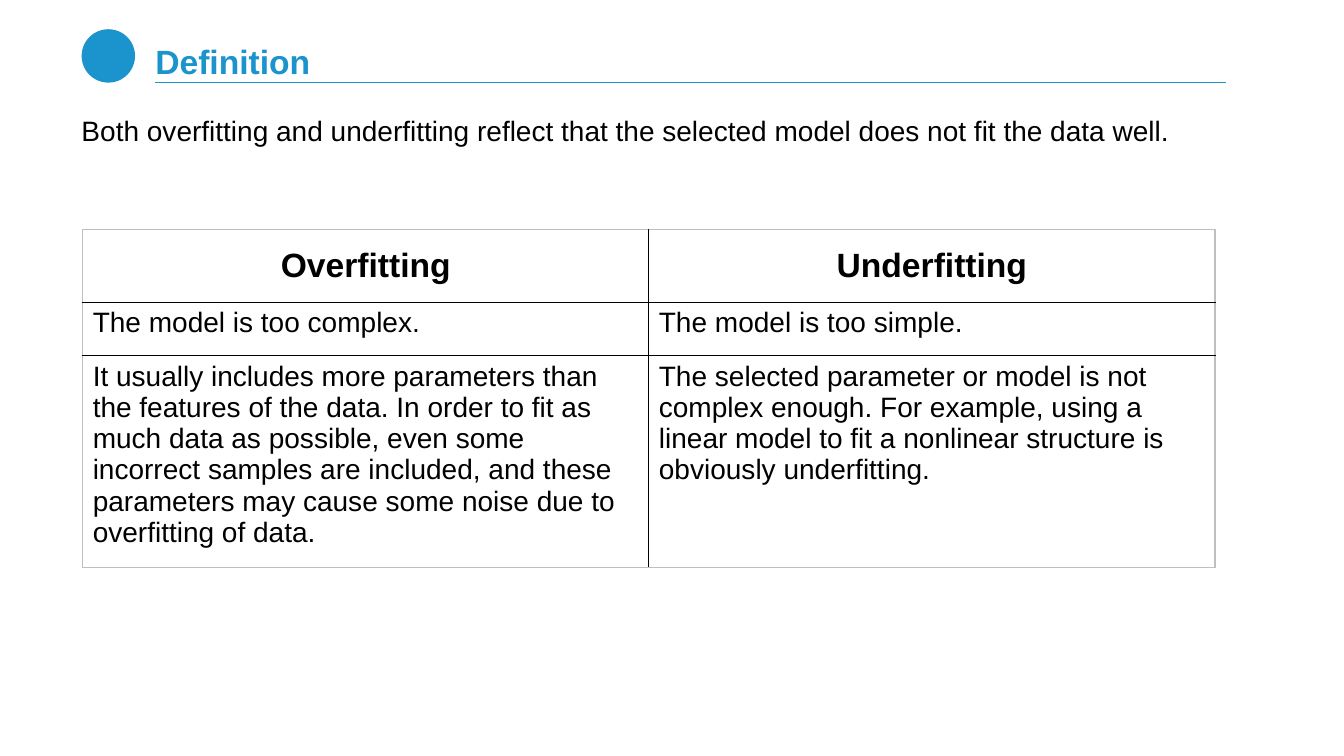
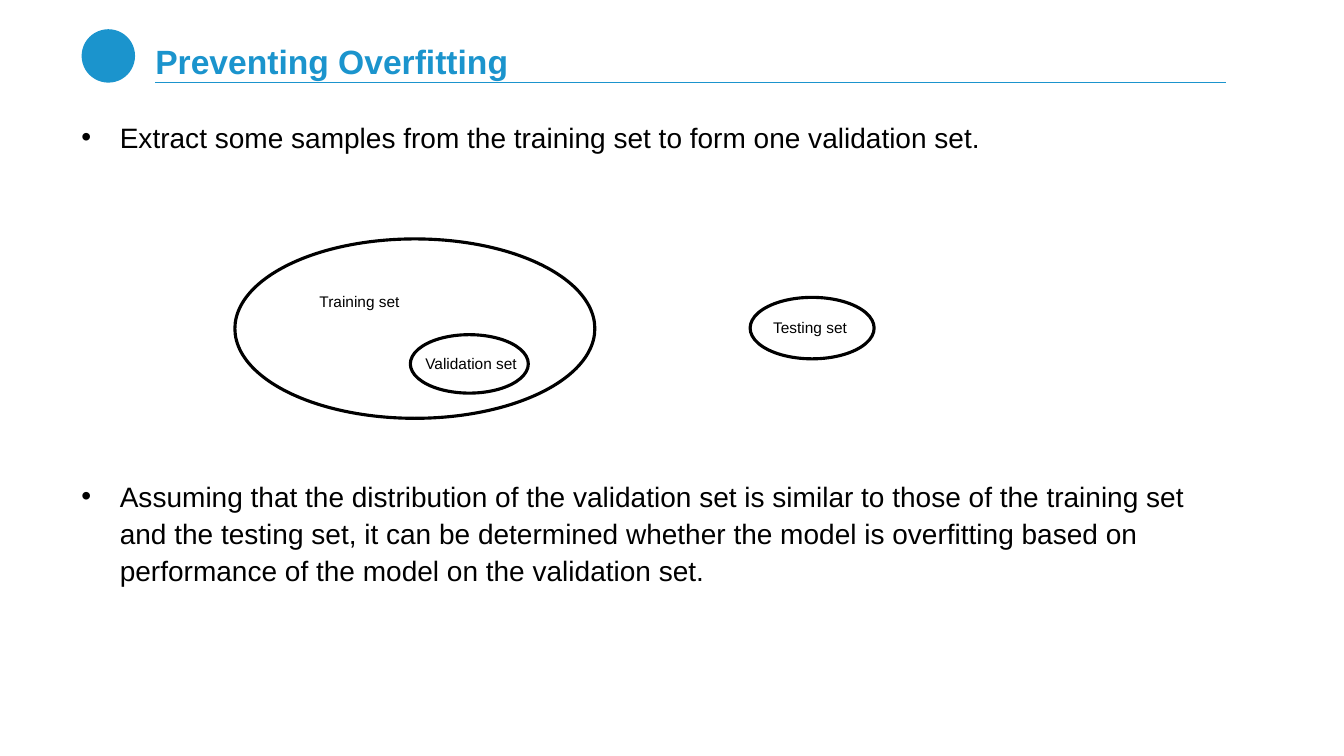
from dataclasses import dataclass

import pptx
import pptx.dml.color
import pptx.enum.shapes
import pptx.enum.text
import pptx.oxml.ns
import pptx.util
from lxml import etree

Inches = pptx.util.Inches
Pt = pptx.util.Pt
RGB = pptx.dml.color.RGBColor
Align = pptx.enum.text.PP_ALIGN
Anchor = pptx.enum.text.MSO_ANCHOR
qn = pptx.oxml.ns.qn


@dataclass(frozen=True)
class Theme:
    font: str = "Arial"
    accent: RGB = RGB(0x1B, 0x94, 0xCD)
    ink: RGB = RGB(0, 0, 0)
    paper: RGB = RGB(0xFF, 0xFF, 0xFF)
    table_edge: RGB = RGB(0xBF, 0xBF, 0xBF)
    heading: int = 24
    body: int = 20
    label: int = 11


@dataclass(frozen=True)
class Box:
    left: float
    top: float
    width: float
    height: float

    def lengths(self) -> tuple:
        return tuple(map(Inches, (self.left, self.top, self.width, self.height)))


@dataclass(frozen=True)
class DataSet:
    name: str
    outline: Box
    label: Box


THEME = Theme()
TITLE = Box(1.54, 0.49, 10.62, 0.32)
MARKER = Box(0.81, 0.29, 0.53, 0.53)
BODY = Box(0.71, 1.11, 11.45, 5.79)
RULE_Y = 0.82

COMPARISON = Box(0.82, 2.28, 11.23, 3.2)
ROW_HEIGHTS = (0.72, 0.53, 1.95)
COMPARISON_ROWS = (
    ("Overfitting", "Underfitting"),
    ("The model is too complex.", "The model is too simple."),
    (
        "It usually includes more parameters than the features of the data. "
        "In order to fit as much data as possible, even some incorrect samples are included, "
        "and these parameters may cause some noise due to overfitting of data.",
        "The selected parameter or model is not complex enough. For example, "
        "using a linear model to fit a nonlinear structure is obviously underfitting.",
    ),
)

DATA_SETS = (
    DataSet("Training set", Box(2.33, 2.37, 3.57, 1.78), Box(3.07, 2.85, 1.01, 0.29)),
    DataSet("Testing set", Box(7.44, 2.95, 1.23, 0.61), Box(7.57, 3.11, 0.96, 0.29)),
    DataSet("Validation set", Box(4.07, 3.32, 1.17, 0.58), Box(4.12, 3.46, 1.13, 0.29)),
)
PREVENTION_POINTS = (
    "Extract some samples from the training set to form one validation set.",
    "Assuming that the distribution of the validation set is similar to those of the "
    "training set and the testing set, it can be determined whether the model is "
    "overfitting based on performance of the model on the validation set.",
)
DIAGRAM_GAP = 230


def format_runs(paragraph, size: int, color: RGB = THEME.ink, bold: bool = False) -> None:
    for run in paragraph.runs:
        run.font.name = THEME.font
        run.font.size = Pt(size)
        run.font.bold = bold
        run.font.color.rgb = color


def add_ellipse(slide, box: Box, fill: RGB, line: RGB | None = None) -> None:
    ellipse = slide.shapes.add_shape(pptx.enum.shapes.MSO_SHAPE.OVAL, *box.lengths())
    ellipse.shadow.inherit = False
    ellipse.fill.solid()
    ellipse.fill.fore_color.rgb = fill
    if line is None:
        ellipse.line.fill.background()
    else:
        ellipse.line.color.rgb = line
        ellipse.line.width = Pt(2.25)


def add_text(slide, box: Box, text: str, size: int, wrap: bool = True):
    frame = slide.shapes.add_textbox(*box.lengths()).text_frame
    frame.word_wrap = wrap
    frame.text = text
    for paragraph in frame.paragraphs:
        format_runs(paragraph, size)
    return frame


def add_titled_slide(deck, heading: str):
    slide = deck.slides.add_slide(deck.slide_layouts.get_by_name("Title Only"))
    rule = slide.shapes.add_connector(
        pptx.enum.shapes.MSO_CONNECTOR.STRAIGHT,
        Inches(TITLE.left), Inches(RULE_Y), Inches(TITLE.left + TITLE.width), Inches(RULE_Y),
    )
    rule.line.color.rgb = THEME.accent
    rule.line.width = Pt(1)
    etree.SubElement(rule._element.spPr, qn("a:effectLst"))
    add_ellipse(slide, MARKER, THEME.accent)

    title = slide.shapes.title
    title.left, title.top, title.width, title.height = TITLE.lengths()
    frame = title.text_frame
    frame.text = heading
    frame.auto_size = pptx.enum.text.MSO_AUTO_SIZE.NONE
    frame.vertical_anchor = Anchor.BOTTOM
    frame.margin_left = frame.margin_right = frame.margin_top = frame.margin_bottom = 0
    paragraph = frame.paragraphs[0]
    paragraph.alignment = Align.LEFT
    paragraph.line_spacing = 0.9
    format_runs(paragraph, THEME.heading, THEME.accent, bold=True)
    return slide


def set_border(cell, side: str, color: RGB) -> None:
    border = etree.SubElement(cell._tc.get_or_add_tcPr(), qn(f"a:ln{side}"), w=str(Pt(1)))
    fill = etree.SubElement(border, qn("a:solidFill"))
    etree.SubElement(fill, qn("a:srgbClr"), val=str(color))


def add_comparison(slide) -> None:
    row_count, column_count = len(COMPARISON_ROWS), len(COMPARISON_ROWS[0])
    table = slide.shapes.add_table(row_count, column_count, *COMPARISON.lengths()).table
    table.first_row = table.horz_banding = False
    for column in table.columns:
        column.width = Inches(COMPARISON.width / column_count)
    for r, (height, texts) in enumerate(zip(ROW_HEIGHTS, COMPARISON_ROWS)):
        table.rows[r].height = Inches(height)
        is_header = r == 0
        for c, text in enumerate(texts):
            cell = table.cell(r, c)
            outer_sides = {
                "L": c == 0,
                "R": c == column_count - 1,
                "T": is_header,
                "B": r == row_count - 1,
            }
            for side, is_outer in outer_sides.items():
                set_border(cell, side, THEME.table_edge if is_outer else THEME.ink)
            cell.fill.solid()
            cell.fill.fore_color.rgb = THEME.paper
            cell.vertical_anchor = Anchor.MIDDLE if is_header else Anchor.TOP
            cell.text_frame.text = text
            paragraph = cell.text_frame.paragraphs[0]
            paragraph.alignment = Align.CENTER if is_header else Align.LEFT
            format_runs(paragraph, THEME.heading if is_header else THEME.body, bold=is_header)


def make_bullet(paragraph) -> None:
    properties = paragraph._p.get_or_add_pPr()
    indent = Inches(0.38)
    properties.set("marL", str(indent))
    properties.set("indent", str(-indent))
    etree.SubElement(properties, qn("a:buFont"), typeface=THEME.font)
    etree.SubElement(properties, qn("a:buChar"), char="•")
    paragraph.line_spacing = 1.1


def build_definition(deck) -> None:
    slide = add_titled_slide(deck, "Definition")
    statement = add_text(
        slide, BODY,
        "Both overfitting and underfitting reflect that the selected model does not fit the data well.",
        THEME.body,
    )
    statement.paragraphs[0].line_spacing = 0.9
    add_comparison(slide)


def build_prevention(deck) -> None:
    slide = add_titled_slide(deck, "Preventing Overfitting")
    points = add_text(slide, BODY, "\n".join(PREVENTION_POINTS), THEME.body)
    for paragraph in points.paragraphs:
        make_bullet(paragraph)
    points.paragraphs[1].space_before = Pt(DIAGRAM_GAP)
    for data_set in DATA_SETS:
        add_ellipse(slide, data_set.outline, THEME.paper, THEME.ink)
    for data_set in DATA_SETS:
        add_text(slide, data_set.label, data_set.name, THEME.label, wrap=False)


def main() -> None:
    deck = pptx.Presentation()
    deck.slide_width, deck.slide_height = Inches(13.33), Inches(7.5)
    build_definition(deck)
    build_prevention(deck)
    deck.save("out.pptx")


if __name__ == "__main__":
    main()
